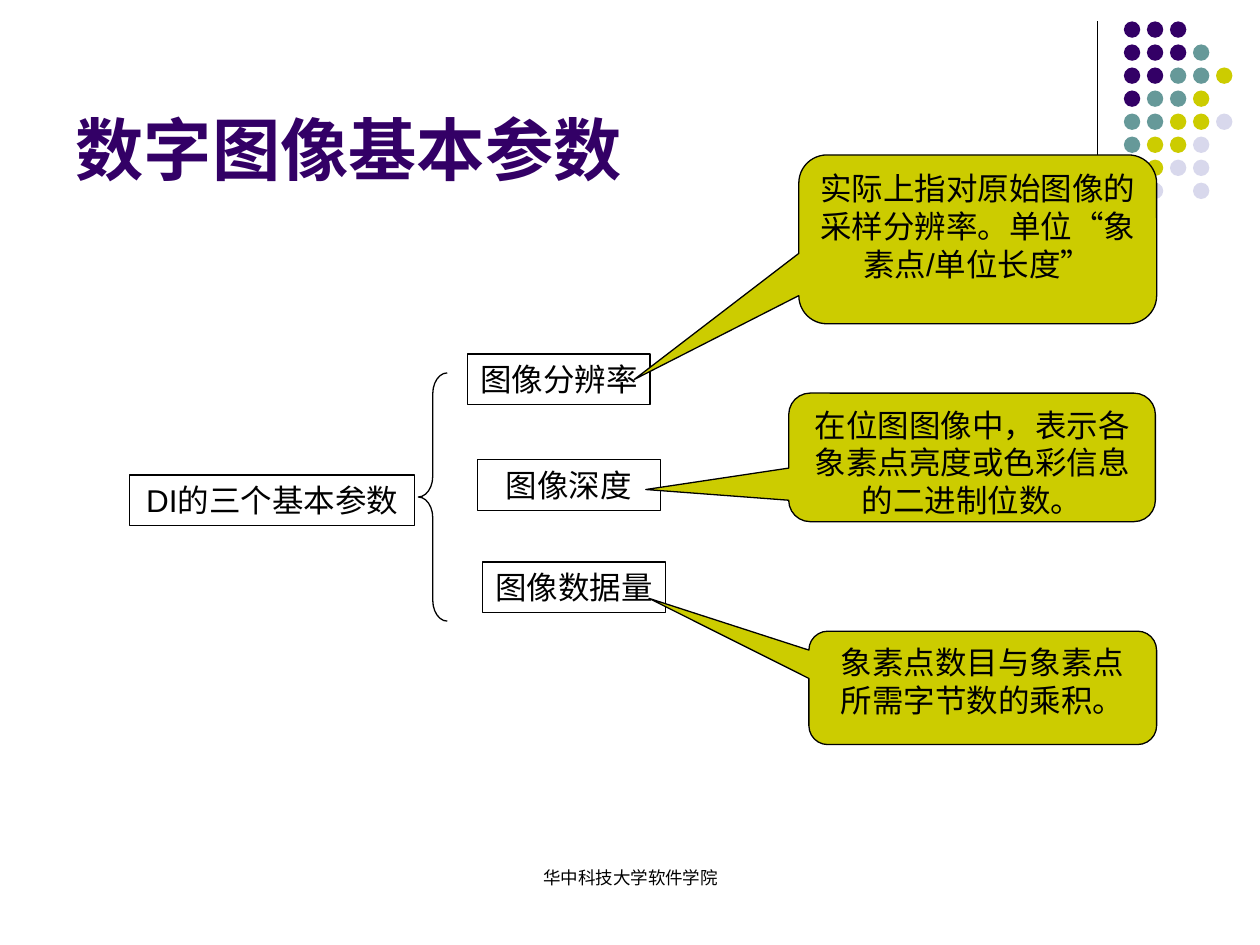
from pptx import Presentation
from pptx.dml.color import RGBColor
from pptx.enum.shapes import MSO_CONNECTOR, MSO_SHAPE
from pptx.enum.text import MSO_ANCHOR, MSO_AUTO_SIZE, PP_ALIGN
from pptx.oxml.ns import qn
from pptx.util import Inches, Pt
from lxml import etree

CENTER, LEFT = PP_ALIGN.CENTER, PP_ALIGN.LEFT
TOP, BOTTOM = MSO_ANCHOR.TOP, MSO_ANCHOR.BOTTOM
NO_FIT, GROW = MSO_AUTO_SIZE.NONE, MSO_AUTO_SIZE.SHAPE_TO_FIT_TEXT
RECTANGLE, ELLIPSE, BRACE = MSO_SHAPE.RECTANGLE, MSO_SHAPE.OVAL, MSO_SHAPE.LEFT_BRACE
CALLOUT = MSO_SHAPE.ROUNDED_RECTANGULAR_CALLOUT
STRAIGHT = MSO_CONNECTOR.STRAIGHT

FONT = "Arial"
BLACK, PURPLE, TEAL, OLIVE, LILAC = "000000", "330066", "669999", "CCCC00", "D8D8EC"
DOT_COLORS = {"P": PURPLE, "T": TEAL, "O": OLIVE, "L": LILAC}
DOT_ROWS = ["PPP", "PPPT", "PPTTO", "PTTO", "TTOOL", "TOOL", "OOLL", " L L"]
DOT_PITCH = 1.28 / 7

LABELS = [
    ("DI的三个基本参数", (1.03, 3.77, 2.26, 0.4), False),
    ("图像分辨率", (3.71, 2.81, 1.45, 0.4), False),
    ("图像深度", (3.79, 3.65, 1.45, 0.4), True),
    ("图像数据量", (3.83, 4.46, 1.45, 0.4), False),
]
CALLOUTS = [
    ("实际上指对原始图像的采样分辨率。单位“象素点/单位长度”",
     (6.34, 1.23, 2.84, 1.34), (-0.96, 0.83)),
    ("在位图图像中，表示各象素点亮度或色彩信息的二进制位数。",
     (6.26, 3.12, 2.91, 1.02), (-0.89, 0.25)),
    ("象素点数目与象素点所需字节数的乘积。",
     (6.42, 5.01, 2.76, 0.9), (-0.96, -0.79)),
]


def color(value):
    return RGBColor.from_string(value)


def inches(box):
    return [Inches(length) for length in box]


def write_text(shape, text, size=18, text_color=BLACK, bold=False, align=CENTER,
               anchor=TOP, wrap=True, fit=NO_FIT):
    frame = shape.text_frame
    frame.word_wrap = wrap
    frame.auto_size = fit
    frame.vertical_anchor = anchor
    paragraph = frame.paragraphs[0]
    paragraph.alignment = align
    run = paragraph.add_run()
    run.text = text
    run.font.name = FONT
    run.font.size = Pt(size)
    run.font.bold = bold
    run.font.color.rgb = color(text_color)


def add_shape(slide, kind, box, fill=None, line=BLACK):
    shape = slide.shapes.add_shape(kind, *inches(box))
    shape.shadow.inherit = False
    if fill:
        shape.fill.solid()
        shape.fill.fore_color.rgb = color(fill)
    else:
        shape.fill.background()
    if line:
        shape.line.color.rgb = color(line)
        shape.line.width = Pt(0.75)
    else:
        shape.line.fill.background()
    return shape


def add_corner_decoration(slide):
    line = slide.shapes.add_connector(STRAIGHT, *inches((8.71, 0.17, 8.71, 1.83)))
    line.line.color.rgb = color(BLACK)
    line.line.width = Pt(0.75)
    etree.SubElement(line._element.spPr, qn("a:effectLst"))
    for row, pattern in enumerate(DOT_ROWS):
        for column, key in enumerate(pattern):
            if key in DOT_COLORS:
                box = (8.92 + column * DOT_PITCH, 0.17 + row * DOT_PITCH, 0.13, 0.13)
                add_shape(slide, ELLIPSE, box, fill=DOT_COLORS[key], line=None)


def add_title(slide, text):
    title = slide.shapes.title
    title.left, title.top, title.width, title.height = inches((0.5, 0.13, 8.25, 1.42))
    write_text(title, text, size=39, text_color=PURPLE, bold=True, align=LEFT,
               anchor=BOTTOM)


def add_footer(slide, text):
    footer = slide.shapes.add_textbox(*inches((3.42, 6.83, 3.17, 0.5)))
    write_text(footer, text, size=10)


def add_label(slide, text, box, wrap):
    write_text(add_shape(slide, RECTANGLE, box), text, wrap=wrap, fit=GROW)


def add_brace(slide):
    brace = add_shape(slide, BRACE, (3.32, 2.96, 0.23, 1.97))
    brace.adjustments[0] = 0.72


def add_callout(slide, text, box, tip):
    """Add a callout whose tip is given relative to its centre, in box sizes."""
    callout = add_shape(slide, CALLOUT, box, fill=OLIVE)
    callout.adjustments[0], callout.adjustments[1] = tip
    write_text(callout, text)


def main():
    presentation = Presentation()
    presentation.slide_width, presentation.slide_height = Inches(10), Inches(7.5)
    slide = presentation.slides.add_slide(presentation.slide_layouts.get_by_name("Title Only"))
    add_corner_decoration(slide)
    add_footer(slide, "华中科技大学软件学院")
    add_title(slide, "数字图像基本参数")
    add_brace(slide)
    for text, box, wrap in LABELS:
        add_label(slide, text, box, wrap)
    for text, box, tip in CALLOUTS:
        add_callout(slide, text, box, tip)
    presentation.save("out.pptx")


if __name__ == "__main__":
    main()
